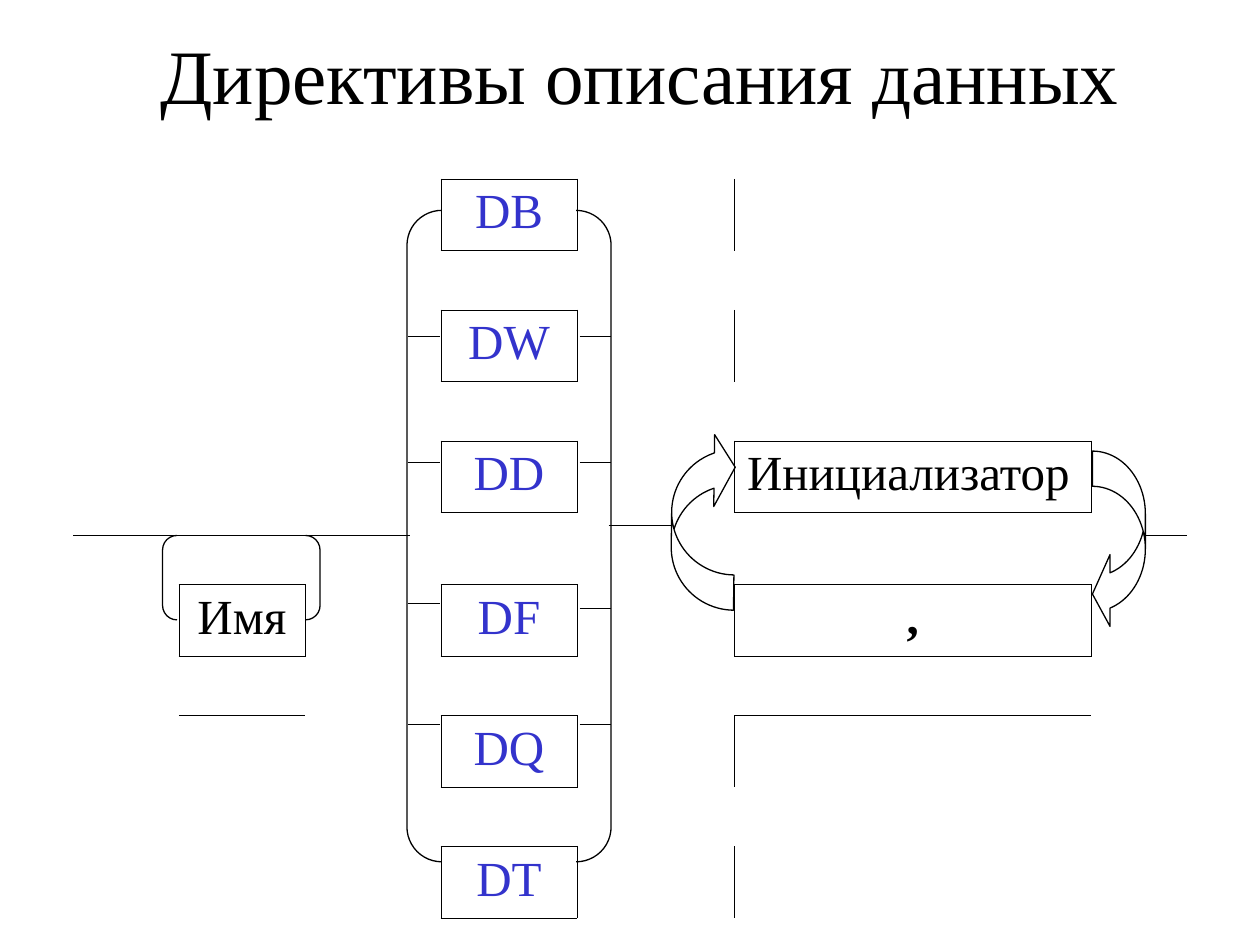
from dataclasses import dataclass

from lxml.etree import SubElement
from pptx import Presentation
from pptx.dml.color import RGBColor
from pptx.enum.shapes import MSO_CONNECTOR, MSO_SHAPE
from pptx.enum.text import MSO_ANCHOR, PP_ALIGN
from pptx.oxml import parse_xml
from pptx.oxml.ns import nsdecls, qn
from pptx.util import Inches, Pt


@dataclass(frozen=True)
class Theme:
    font: str = "Times New Roman"
    ink: RGBColor = RGBColor(0x00, 0x00, 0x00)
    directive: RGBColor = RGBColor(0x33, 0x33, 0xCC)
    title_size: Pt = Pt(44)
    label_size: Pt = Pt(28)
    line_width: Pt = Pt(0.75)
    border_width: Pt = Pt(0.45)


THEME = Theme()
NO_STYLE_NO_GRID = "{2D5ABB26-0587-4C30-8999-92F81FD0307C}"

# Table grid: labelled rows are taller than the gaps between them
COLUMN_WIDTHS = [0.67, 1, 1.08, 1.08, 1.25, 2.83, 0.58]
LABEL_ROW, GAP_ROW = 0.57, 0.47
GAP_ROWS = {1, 3, 7, 9}
ROW_COUNT = 11
DIRECTIVES = {0: "DB", 2: "DW", 4: "DD", 6: "DF", 8: "DQ", 10: "DT"}
OPERANDS = {(4, 5): "Инициализатор", (6, 1): "Имя", (6, 5): ","}

# Border side: its neighbour's offset and the neighbour's matching side
SIDES = {"L": (0, -1, "R"), "R": (0, 1, "L"), "T": (-1, 0, "B"), "B": (1, 0, "T")}


def style_text(paragraph, size, color, align=PP_ALIGN.CENTER):
    paragraph.alignment = align
    paragraph.font.name = THEME.font
    paragraph.font.size = size
    paragraph.font.color.rgb = color


def add_title(slide, box, text):
    title = slide.shapes.title
    title.left, title.top, title.width, title.height = map(Inches, box)
    title.text_frame.text = text
    title.text_frame.vertical_anchor = MSO_ANCHOR.MIDDLE
    style_text(title.text_frame.paragraphs[0], THEME.title_size, THEME.ink)


def set_borders(cell, sides):
    properties = cell._tc.get_or_add_tcPr()
    for position, side in enumerate(s for s in SIDES if s in sides):
        properties.insert(position, parse_xml(
            f'<a:ln{side} {nsdecls("a")} w="{THEME.border_width}"><a:solidFill>'
            f'<a:srgbClr val="{THEME.ink}"/></a:solidFill></a:ln{side}>'))


def add_label_grid(slide, box):
    table = slide.shapes.add_table(
        ROW_COUNT, len(COLUMN_WIDTHS), *map(Inches, box)).table
    table.first_row = table.horz_banding = False
    table._tbl.tblPr.find(qn("a:tableStyleId")).text = NO_STYLE_NO_GRID
    for column, width in zip(table.columns, COLUMN_WIDTHS):
        column.width = Inches(width)
    for index, row in enumerate(table.rows):
        row.height = Inches(GAP_ROW if index in GAP_ROWS else LABEL_ROW)
    for cell in table.iter_cells():
        cell.fill.background()

    labels = {(row, 3): text for row, text in DIRECTIVES.items()} | OPERANDS
    borders = {}
    for (row, column), text in labels.items():
        cell = table.cell(row, column)
        cell.text = text
        paragraph = cell.text_frame.paragraphs[0]
        paragraph.space_before = Pt(7)
        style_text(paragraph, THEME.label_size,
                   THEME.directive if column == 3 else THEME.ink,
                   PP_ALIGN.LEFT if (row, column) == (4, 5) else PP_ALIGN.CENTER)
        paragraph.font.bold = text == ","
        # Each side is shared with the neighbouring cell
        for side, (down, across, opposite) in SIDES.items():
            borders.setdefault((row, column), set()).add(side)
            if 0 <= row + down < ROW_COUNT:
                borders.setdefault((row + down, column + across), set()).add(opposite)
    for position, sides in borders.items():
        set_borders(table.cell(*position), sides)


def add_track(slide, left, right, y):
    track = slide.shapes.add_connector(
        MSO_CONNECTOR.STRAIGHT, Inches(left), Inches(y), Inches(right), Inches(y))
    track.line.color.rgb = THEME.ink
    track.line.width = THEME.line_width
    SubElement(track._element.spPr, qn("a:effectLst"))


def add_outline(slide, kind, box, adjustments, rotation=0):
    outline = slide.shapes.add_shape(kind, *map(Inches, box))
    outline.shadow.inherit = False
    outline.fill.background()
    outline.line.color.rgb = THEME.ink
    outline.line.width = THEME.line_width
    for index, value in enumerate(adjustments):
        outline.adjustments[index] = value
    outline.rotation = rotation


def add_bracket(slide, box):
    add_outline(slide, MSO_SHAPE.DOUBLE_BRACKET, box, [0.171])


def add_directive_choice(slide, box):
    left, top, width, _ = box
    rung = 0.25
    add_bracket(slide, box)
    # Rungs to the directives between the first and the last
    for left_drop, right_drop in [(1, 1), (2, 2), (3.12, 3.16), (4.08, 4.08)]:
        add_track(slide, left + 0.01, left + 0.01 + rung, top + left_drop)
        add_track(slide, left + width - rung, left + width, top + right_drop)


def add_loop_arrow(slide, box, rotation=0):
    width = box[2]
    shaft, head = 0.28, 0.57
    add_outline(slide, MSO_SHAPE.CURVED_LEFT_ARROW, box,
                [shaft / width, head / width, 1 / 3], rotation)


def add_initializer_loop(slide, box):
    left, top, width, height = box
    right_width, left_width, arrow_height = 0.42, 0.5, 1.42
    add_loop_arrow(slide, (left + width - right_width, top + height - arrow_height,
                           right_width, arrow_height))
    add_loop_arrow(slide, (left, top, left_width, arrow_height), 180.7)


def main():
    presentation = Presentation()
    presentation.slide_width, presentation.slide_height = Inches(10), Inches(7.5)
    slide = presentation.slides.add_slide(presentation.slide_layouts[5])

    add_title(slide, (0.83, 0.17, 8.5, 0.83), "Директивы описания данных")
    add_label_grid(slide, (0.75, 1.42, 8.5, 5.87))
    add_directive_choice(slide, (3.23, 1.67, 1.62, 5.17))
    # Optional name
    add_bracket(slide, (1.29, 4.25, 1.25, 0.67))
    add_initializer_loop(slide, (5.33, 3.42, 3.76, 1.58))
    # Main path: entry, link to the initializer, exit
    for left, right, y in [(0.58, 3.25, 4.25), (4.83, 5.33, 4.17), (9.08, 9.42, 4.25)]:
        add_track(slide, left, right, y)

    presentation.save("out.pptx")


if __name__ == "__main__":
    main()
